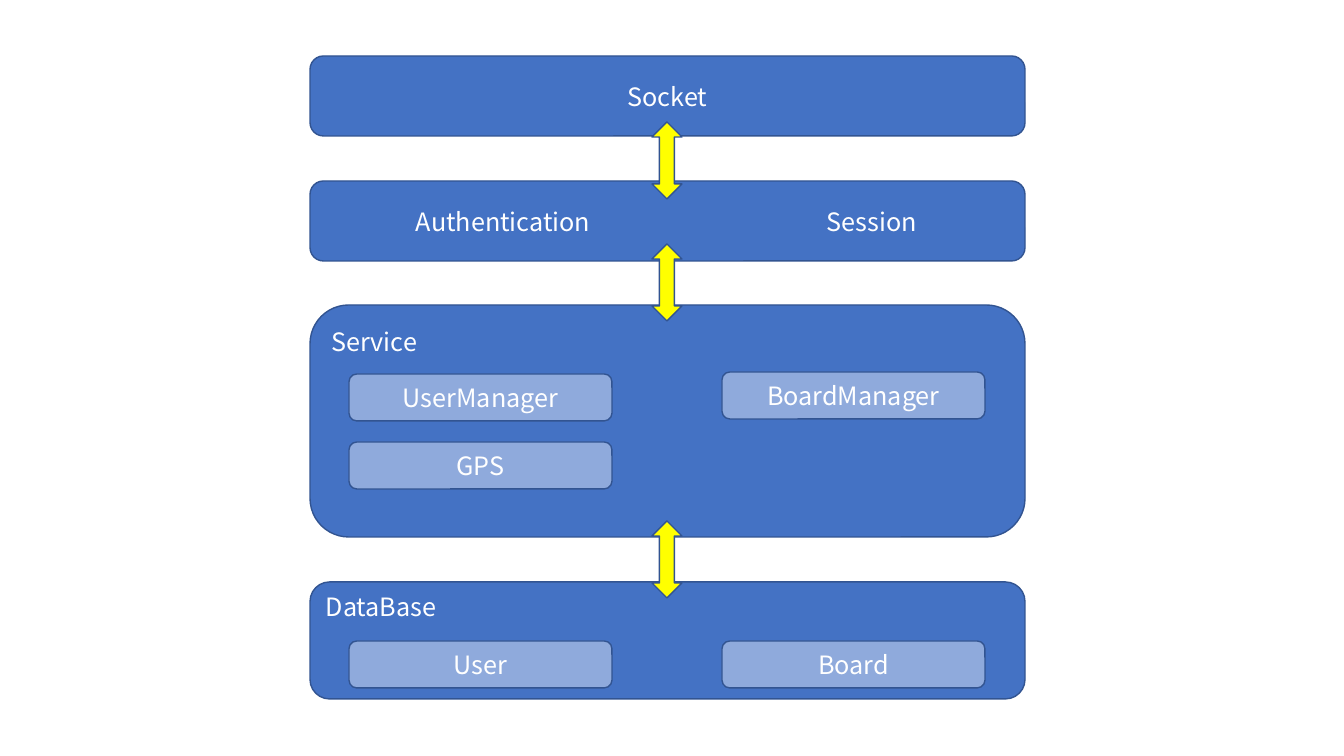
from pptx import Presentation
from pptx.dml.color import RGBColor
from pptx.enum.shapes import MSO_SHAPE
from pptx.enum.text import MSO_ANCHOR, PP_ALIGN
from pptx.util import Pt
from lxml import etree

PIXEL = 9071.43  # EMU at 100.8 pixels to the inch
ROUNDED, ARROW = MSO_SHAPE.ROUNDED_RECTANGLE, MSO_SHAPE.UP_DOWN_ARROW
TOP, MIDDLE = MSO_ANCHOR.TOP, MSO_ANCHOR.MIDDLE
LEFT, CENTER = PP_ALIGN.LEFT, PP_ALIGN.CENTER

BLUE = RGBColor(0x44, 0x72, 0xC4)
LIGHT_BLUE = RGBColor(0x8F, 0xAA, 0xDC)
OUTLINE = RGBColor(0x32, 0x54, 0x91)
YELLOW = RGBColor(0xFF, 0xFF, 0x00)
WHITE = RGBColor(0xFF, 0xFF, 0xFF)
FONT = "Noto Sans CJK KR"


def emu(pixels):
    """Turn pixels into EMU."""
    return round(pixels * PIXEL)


def add_box(kind, left, top, width, height, fill):
    """Add an outlined shape without a shadow."""
    box = slide.shapes.add_shape(kind, emu(left), emu(top), emu(width), emu(height))
    box.shadow.inherit = False
    box.fill.solid()
    box.fill.fore_color.rgb = fill
    box.line.color.rgb = OUTLINE
    box.line.width = Pt(1)
    return box


def write_text(box, text, align=CENTER, anchor=MIDDLE, margin_left=10, margin_top=5):
    """Write one white paragraph into a box and return it."""
    frame = box.text_frame
    frame.word_wrap = True
    frame.vertical_anchor = anchor
    frame.margin_left, frame.margin_top = emu(margin_left), emu(margin_top)
    para = frame.paragraphs[0]
    para.alignment = align
    para.text = text
    para.font.size = Pt(18)
    span = para.runs[0]
    span.font.name = FONT
    span.font.size = Pt(18)
    span.font.color.rgb = WHITE
    return para


deck = Presentation()
deck.slide_width, deck.slide_height = emu(1344), emu(756)
slide = deck.slides.add_slide(deck.slide_layouts[6])

# Layers, from the network down to the storage
layers = [
    ("Socket", 56, 80, {}),
    ("Authentication\tSession", 181, 80, {"align": LEFT, "margin_left": 102}),
    ("Service", 305, 232, {"align": LEFT, "anchor": TOP, "margin_top": 10}),
    ("DataBase", 582, 117, {"align": LEFT, "anchor": TOP, "margin_top": 4}),
]
for name, top, height, text_format in layers:
    layer = add_box(ROUNDED, 310, top, 715, height, BLUE)
    para = write_text(layer, name, **text_format)
    if "\t" in name:
        namespace = para._p.nsmap["a"]
        tab_list = etree.SubElement(para._p.get_or_add_pPr(), f"{{{namespace}}}tabLst")
        # The tab list comes before the default run properties
        para._p.get_or_add_pPr().insert(0, tab_list)
        etree.SubElement(tab_list, f"{{{namespace}}}tab", pos=str(emu(411)), algn="l")

# Arrows between neighbouring layers
for top in (122, 244, 521):
    add_box(ARROW, 652, top, 30, 77, YELLOW)

# Components inside the lower layers
LEFT_COLUMN, RIGHT_COLUMN = 349, 722
components = [
    ("User", LEFT_COLUMN, 641),
    ("Board", RIGHT_COLUMN, 641),
    ("UserManager", LEFT_COLUMN, 374),
    ("BoardManager", RIGHT_COLUMN, 372),
    ("GPS", LEFT_COLUMN, 442),
]
for name, left, top in components:
    component = add_box(ROUNDED, left, top, 263, 47, LIGHT_BLUE)
    write_text(component, name)

deck.save("out.pptx")
